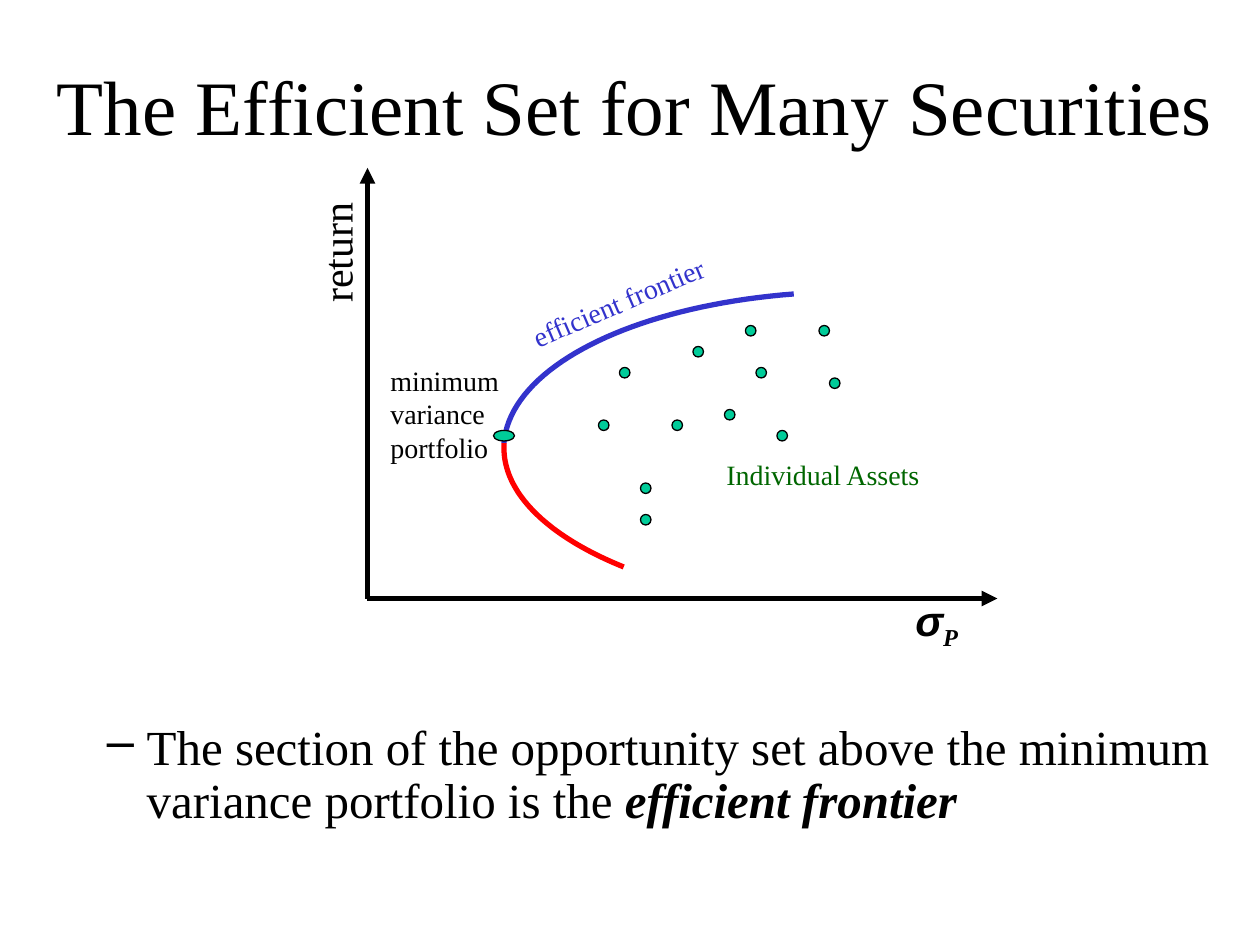
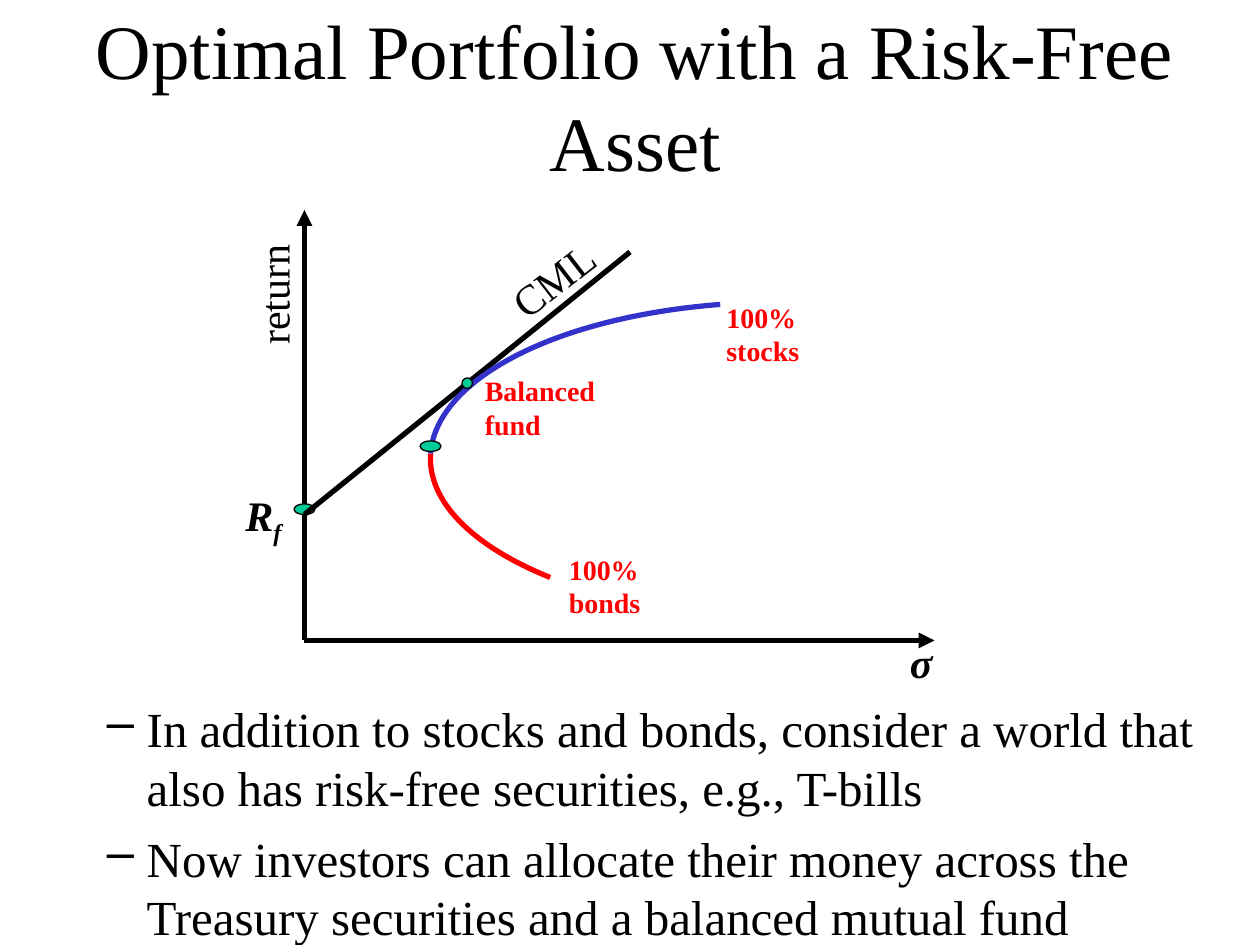
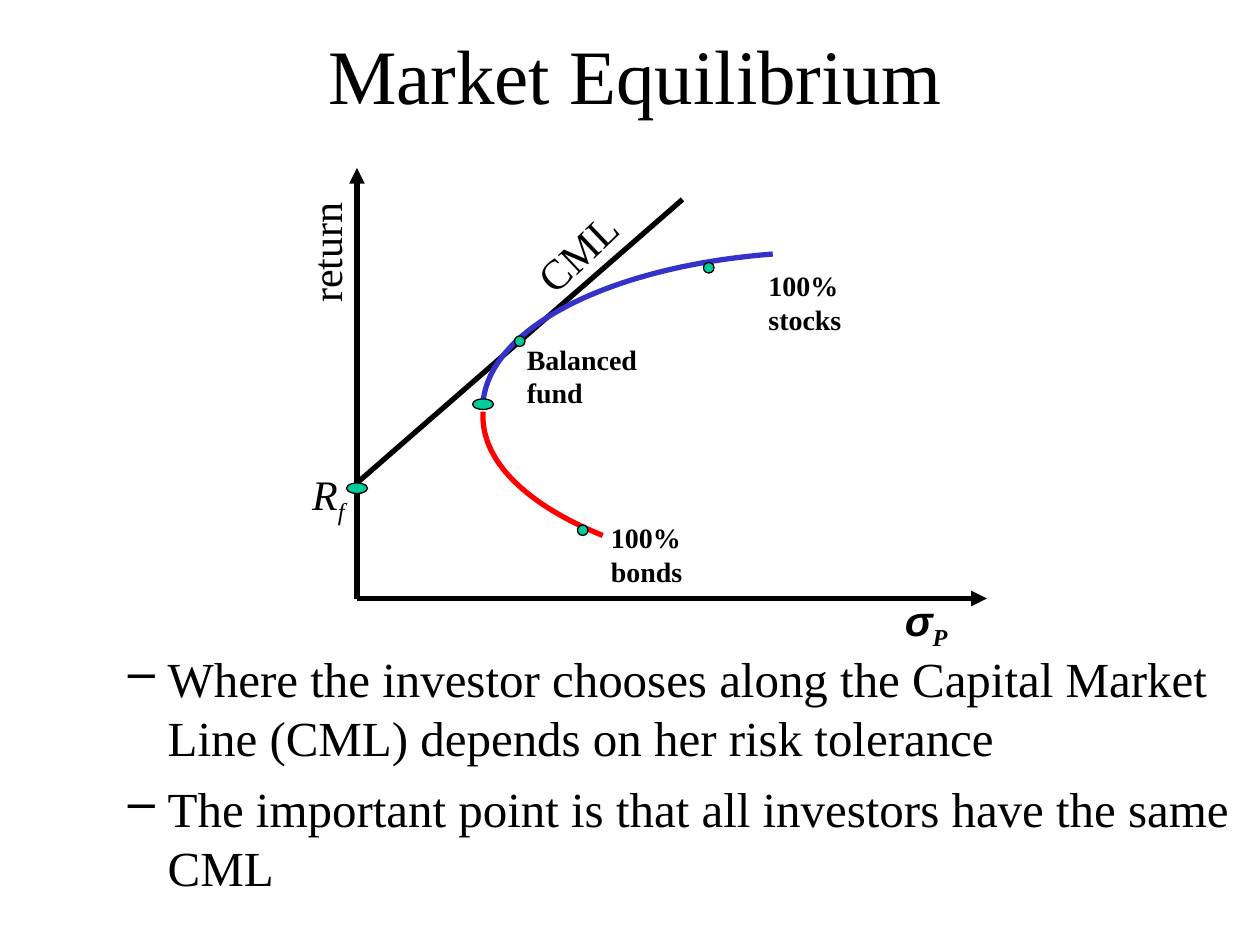
from lxml import etree
from pptx import Presentation
from pptx import util as u
from pptx.dml.color import RGBColor
from pptx.enum import shapes, text
from pptx.oxml import ns

PX = 7620
BLACK = RGBColor(0, 0, 0)
BLUE = RGBColor(0x33, 0x33, 0xCC)
RED = RGBColor(0xFF, 0, 0)
GREEN = RGBColor(0, 0x66, 0)
TEAL = RGBColor(0, 0xCC, 0x99)
SERIF, SANS = "Times New Roman", "Arial"
LEFT, MID, RIGHT = text.PP_ALIGN.LEFT, text.PP_ALIGN.CENTER, text.PP_ALIGN.RIGHT
DOT, OVAL = (10, 10), (20, 10)
UPPER = [(276, 0), (121, 12), (6, 70), (0, 142)]
LOWER = [(0, 147), (0, 190), (42, 231), (114, 260)]


def emu(*vals):
    """Turn px into EMU."""
    return [int(v * PX) for v in vals]


def child(node, tag, **attrs):
    """Append one drawing element."""
    return etree.SubElement(node, ns.qn("a:" + tag), attrs)


def style(font, size, color=BLACK, bold=False, italic=False):
    """Set the shared serif look on a font."""
    font.name, font.size = SERIF, u.Pt(size)
    font.color.rgb = color
    font.bold, font.italic = bold, italic


def frame(slide, box):
    """Add a wrapping text box and return it with its frame."""
    shape = slide.shapes.add_textbox(*emu(*box))
    shape.text_frame.word_wrap = True
    return shape, shape.text_frame


def label(slide, box, words, size=16, color=BLACK, bold=False,
          italic=False, align=LEFT, turn=0, sub="", face=SERIF):
    """Add a label, with an optional subscript and rotation."""
    shape, tf = frame(slide, box)
    shape.rotation = turn
    para = tf.paragraphs[0]
    para.alignment = align
    style(para.font, size, color, bold, italic)
    runs = [(words, face, None)] + ([(sub, SERIF, "-25000")] if sub else [])
    for part, name, base in runs:
        run = para.add_run()
        run.text = part
        style(run.font, size, color, bold, italic)
        run.font.name = name
        if base:
            run._r.get_or_add_rPr().set("baseline", base)
    return tf


def title(slide, top, words):
    """Add the centred slide title."""
    tf = label(slide, (40, top, 1130, 120), words, 44, align=MID)
    tf.vertical_anchor = text.MSO_ANCHOR.MIDDLE


def body(slide, box, items, pitch=None):
    """Add dashed items, each a list of plain and emphasised parts in turn."""
    tf = frame(slide, box)[1]
    for i, parts in enumerate(items):
        para = tf.add_paragraph() if i else tf.paragraphs[0]
        props = para._p.get_or_add_pPr()
        left, hang = emu(98, -38)
        props.set("marL", str(left))
        props.set("indent", str(hang))
        child(child(props, "buClr"), "srgbClr", val=str(BLACK))
        child(props, "buChar", char="–")
        style(para.font, 28)
        para.space_before = u.Pt(7 if i else 0)
        if pitch:
            para.line_spacing = pitch
        for j, part in enumerate(parts):
            run = para.add_run()
            run.text = part
            style(run.font, 28, bold=j % 2 == 1, italic=j % 2 == 1)


def line(slide, start, end, arrow=False):
    """Add a straight black line, with an arrowhead on request."""
    link = slide.shapes.add_connector(
        shapes.MSO_CONNECTOR.STRAIGHT, *emu(*start, *end))
    link.line.color.rgb = BLACK
    link.line.width = u.Pt(3)
    if arrow:
        child(link.line._get_or_add_ln(), "tailEnd", type="triangle")
    child(link._element.spPr, "effectLst")


def mark(slide, x, y, size=DOT):
    """Add a teal marker."""
    oval = slide.shapes.add_shape(
        shapes.MSO_SHAPE.OVAL, *emu(x, y, *size))
    oval.shadow.inherit = False
    oval.fill.solid()
    oval.fill.fore_color.rgb = TEAL
    oval.line.color.rgb = BLACK
    oval.line.width = u.Pt(0.75)


def bend(ctrl, steps=40):
    """Return points along a cubic curve."""
    out = []
    for i in range(steps + 1):
        t = i / steps
        s = 1 - t
        ks = (s ** 3, 3 * s * s * t, 3 * s * t * t, t ** 3)
        out.append([sum(k * c[a] for k, c in zip(ks, ctrl)) for a in (0, 1)])
    return out


def arc(slide, x, y, pts, color):
    """Draw an open outline through the points."""
    pts = [tuple(emu(x + a, y + b)) for a, b in pts]
    pen = slide.shapes.build_freeform(*pts[0], scale=1.0)
    pen.add_line_segments(pts[1:], close=False)
    shape = pen.convert_to_shape()
    shape.shadow.inherit = False
    shape.fill.background()
    shape.line.color.rgb = color
    shape.line.width = u.Pt(3)


def axes(slide, x, y):
    """Draw both axes and the return label."""
    base = (x, y + 410)
    line(slide, base, (x, y), True)
    line(slide, base, (x + 600, y + 410), True)
    label(slide, (x - 95, y + 45, 130, 60), "return", 24, turn=270)


def risk(slide, x, y):
    """Label the risk axis with a subscript."""
    label(slide, (x + 510, y + 400, 110, 67), "σ", 24, bold=True,
          italic=True, sub="P", face=SANS)


def curve(slide, x, y, lift=0):
    """Draw the opportunity set and its minimum variance point."""
    arc(slide, x, y - lift, bend(UPPER), BLUE)
    arc(slide, x, y, [(0, 142)] + bend(LOWER), RED)
    mark(slide, x - 10, y + 130, OVAL)


def funds(slide, x, y, spots, color):
    """Name the three funds at their spots."""
    names = ("100% stocks", "Balanced fund", "100% bonds")
    for name, (a, b) in zip(names, spots):
        label(slide, (x + a, y + b, 145, 77), name, color=color, bold=True)


def market(slide, x, y, foot, peak, tag, turn):
    """Draw the capital market line and its label."""
    line(slide, (x, y + foot), (x + 310, y + peak))
    a, b, w = tag
    label(slide, (x + a, y + b, w, 60), "CML", 24, turn=turn)


def rate(slide, x, y, width, bold):
    """Label the risk-free rate, ending at the given right edge."""
    label(slide, (x - width, y, width, 67), "R", 24, bold=bold,
          italic=True, align=RIGHT, sub="f")


def many(slide, x=350, y=160):
    """Build the efficient set slide."""
    title(slide, 40, "The Efficient Set for Many Securities")
    body(slide, (30, 683, 1140, 150), [[
        "The section of the opportunity set above the minimum variance "
        "portfolio is the ", "efficient frontier"]], 0.9)
    axes(slide, x, y)
    risk(slide, x, y)
    label(slide, (x + 330, y + 270, 210, 44), "Individual Assets", color=GREEN)
    for a, b in [(240, 190), (360, 150), (310, 170), (220, 240), (370, 190),
                 (260, 300), (290, 240), (340, 230), (430, 150), (440, 200),
                 (390, 250), (260, 330)]:
        mark(slide, x + a, y + b)
    label(slide, (x + 90, y + 116, 250, 44), "efficient frontier",
          color=BLUE, align=RIGHT, turn=336.9)
    label(slide, (x + 10, y + 180, 140, 108), "minimum variance portfolio")
    curve(slide, x + 130, y + 120)


def free(slide, x=290, y=200):
    """Build the risk-free asset slide."""
    title(slide, 30, "Optimal Portfolio with a Risk-Free Asset")
    body(slide, (30, 659, 1150, 241), [
        ["In addition to stocks and bonds, consider a world that also has "
         "risk-free securities, e.g., T-bills"],
        ["Now investors can allocate their money across the Treasury "
         "securities and a balanced mutual fund"]])
    axes(slide, x, y)
    rate(slide, x - 10, y + 260, 110, True)
    label(slide, (x + 500, y + 400, 110, 60), "σ", 24, bold=True,
          italic=True, align=RIGHT)
    mark(slide, x - 10, y + 280, OVAL)
    market(slide, x, y, 290, 40, (180, 30, 130), 322.3)
    curve(slide, x + 120, y + 90)
    funds(slide, x, y, [(390, 80), (160, 150), (240, 320)], RED)
    mark(slide, x + 150, y + 160)


def level(slide, x=340, y=160):
    """Build the market equilibrium slide."""
    title(slide, 10, "Market Equilibrium")
    body(slide, (50, 612, 1150, 288), [
        ["Where the investor chooses along the Capital Market Line (CML) "
         "depends on her risk tolerance"],
        ["The important point is that all investors have the same CML"]])
    axes(slide, x, y)
    rate(slide, x, y + 280, 80, False)
    risk(slide, x, y)
    market(slide, x, y, 300, 30, (154, 48, 116), 316.4)
    mark(slide, x - 10, y + 300, OVAL)
    curve(slide, x + 120, y + 90, 8)
    for a, b in [(150, 160), (330, 90), (210, 340)]:
        mark(slide, x + a, y + b)
    funds(slide, x, y, [(380, 90), (150, 160), (230, 330)], BLACK)


def main():
    """Build and save the deck."""
    deck = Presentation()
    deck.slide_width, deck.slide_height = emu(1200, 900)
    for build in (many, free, level):
        build(deck.slides.add_slide(deck.slide_layouts[6]))
    deck.save("out.pptx")


if __name__ == "__main__":
    main()
